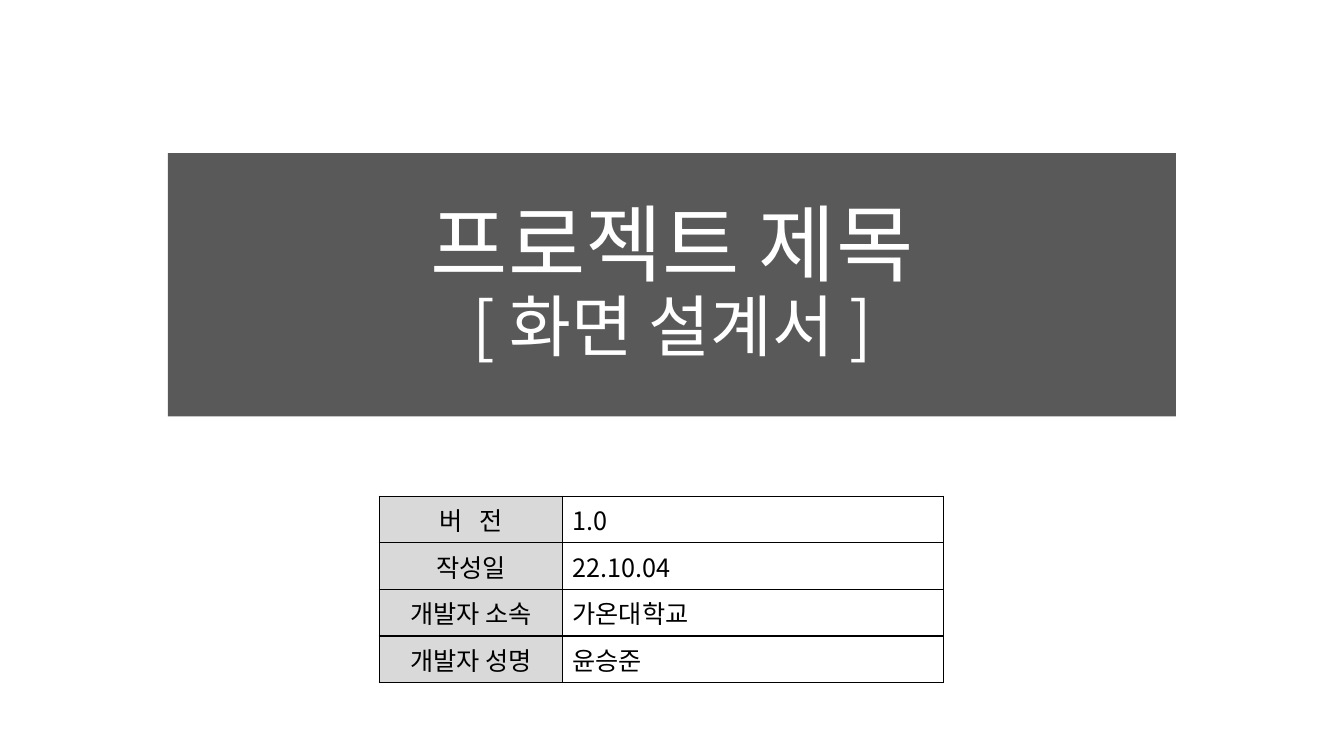
from lxml.etree import SubElement as Sub
from pptx import Presentation as Deck
from pptx.dml.color import RGBColor as Rgb
from pptx.enum.text import MSO_ANCHOR as Anchor, MSO_AUTO_SIZE as Fit, PP_ALIGN as Align
from pptx.oxml import parse_xml
from pptx.oxml.ns import nsdecls, qn
from pptx.util import Pt

FACE = "Noto Sans CJK KR"
INK = {"band": "595959", "light": "FFFFFF", "label": "D9D9D9", "dark": "000000"}
ROWS = [
    (("버 ", "전"), "1.0"),
    (("작성일",), "22.10.04"),
    (("개발자 소속",), "가온대학교"),
    (("개발자 성명",), "윤승준"),
]


def paint(fill, name):
    fill.solid()
    fill.fore_color.rgb = Rgb.from_string(INK[name])


def add_run(para, text, size, name):
    run = para.add_run()
    run.text = text
    font = run.font
    font.name, font.size = FACE, Pt(size)
    font.color.rgb = Rgb.from_string(INK[name])
    props = run._r.get_or_add_rPr()
    Sub(props, qn("a:ea"), typeface=FACE)
    return props


def add_title(slide, left, top, width, height):
    title = slide.shapes.title
    title.left, title.top = Pt(left), Pt(top)
    title.width, title.height = Pt(width), Pt(height)
    paint(title.fill, "band")
    frame = title.text_frame
    frame.auto_size = Fit.NONE
    frame.word_wrap = True
    frame.vertical_anchor = Anchor.MIDDLE
    para = frame.paragraphs[0]
    para.alignment = Align.CENTER
    para.line_spacing = 0.9
    add_run(para, "프로젝트 제목", 60, "light")
    para.add_line_break()
    add_run(para, "[ 화면 설계서 ]", 48, "light")


def add_edges(cell):
    props = cell._tc.get_or_add_tcPr()
    for spot, side in enumerate("LRTB"):
        props.insert(spot, parse_xml(
            f'<a:ln{side} {nsdecls("a")} w="{Pt(1)}"><a:solidFill>'
            f'<a:srgbClr val="{INK["dark"]}"/></a:solidFill></a:ln{side}>'))


def add_info(slide, left, top, width, height):
    frame = slide.shapes.add_table(
        len(ROWS), 2, Pt(left), Pt(top), Pt(width), Pt(height))
    table = frame.table
    table.first_row = table.horz_banding = False
    table.columns[0].width = Pt(131)
    table.columns[1].width = Pt(width - 131)
    for row, (label, value) in enumerate(ROWS):
        head, body = table.cell(row, 0), table.cell(row, 1)
        paint(head.fill, "label")
        body.fill.background()
        para = head.text_frame.paragraphs[0]
        para.alignment = Align.CENTER
        for part in label:
            props = add_run(para, part, 18, "dark")
            if part.endswith(" "):
                props.set("spc", "400")
        add_run(body.text_frame.paragraphs[0], value, 18, "dark")
        add_edges(head)
        add_edges(body)


def main():
    deck = Deck()
    deck.slide_width, deck.slide_height = Pt(960), Pt(540)
    slide = deck.slides.add_slide(deck.slide_layouts[5])
    add_title(slide, 120, 109.4, 720, 188)
    add_info(slide, 270.8, 354.4, 403.2, 116.8)
    deck.save("out.pptx")


if __name__ == "__main__":
    main()
